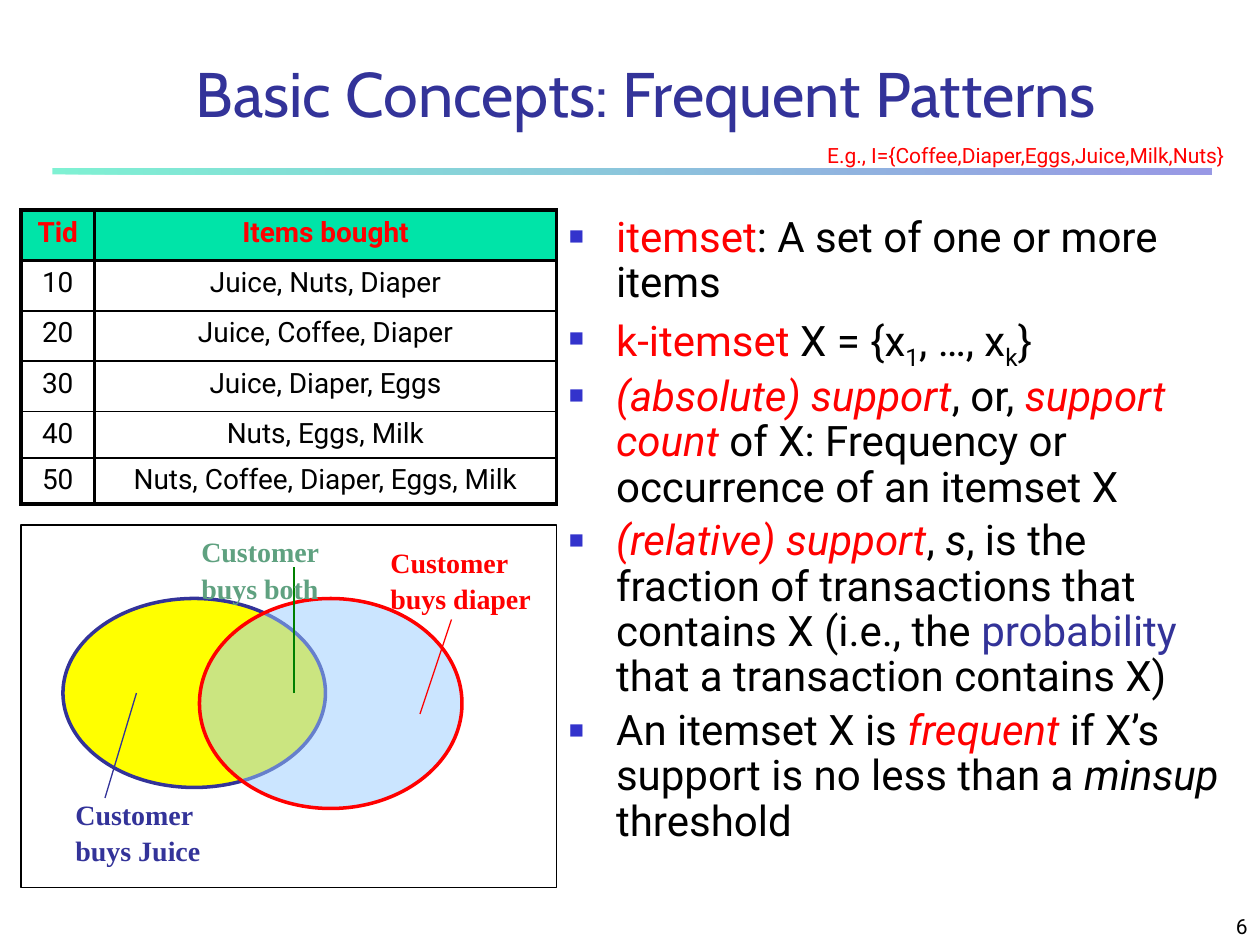
from dataclasses import dataclass

from lxml import etree
from pptx import Presentation
from pptx import util as u
from pptx.dml.color import RGBColor
from pptx.enum import shapes, text
from pptx.oxml import ns

PX = u.Inches(1) // 120


@dataclass(frozen=True)
class Theme:
    ink: str = "000000"
    navy: str = "333399"
    red: str = "FF0000"
    bullet: str = "3333CC"
    mint: str = "00E4A8"
    yellow: str = "FFFF00"
    sky: str = "99CCFF"
    green: str = "008000"
    sage: str = "5FA180"
    heading_font: str = "Cabin"
    body_font: str = "Roboto"
    label_font: str = "Times New Roman"
    title_size: int = 36
    body_size: int = 24
    label_size: int = 16
    small_size: int = 12


THEME = Theme()

RUN_STYLES = {
    "plain": (THEME.ink, False, None),
    "term": (THEME.red, False, None),
    "key": (THEME.red, True, None),
    "symbol": (THEME.ink, True, None),
    "link": (THEME.navy, False, None),
    "sub": (THEME.ink, False, "-25000"),
}

DEFINITIONS = [
    [("itemset", "term"), (": A set of one or more items", "plain")],
    [("k-itemset", "term"), (" X = {x", "plain"), ("1", "sub"),
     (", …, x", "plain"), ("k", "sub"), ("}", "plain")],
    [("(absolute) support", "key"), (", or, ", "plain"), ("support count", "key"),
     (" of X: Frequency or occurrence of an itemset X", "plain")],
    [("(relative) support", "key"), (", ", "plain"), ("s", "symbol"),
     (", is the fraction of transactions that contains X (i.e., the ", "plain"),
     ("probability", "link"), (" that a transaction contains X)", "plain")],
    [("An itemset X is ", "plain"), ("frequent", "key"),
     (" if X’s support is no less than a ", "plain"), ("minsup", "symbol"),
     (" threshold", "plain")],
]

TRANSACTIONS = [
    ("Tid", "Items bought"),
    ("10", "Juice, Nuts, Diaper"),
    ("20", "Juice, Coffee, Diaper"),
    ("30", "Juice, Diaper, Eggs"),
    ("40", "Nuts, Eggs, Milk"),
    ("50", "Nuts, Coffee, Diaper, Eggs, Milk"),
]


def px(*lengths):
    return [u.Emu(length * PX) for length in lengths]


def rgb(color):
    return RGBColor.from_string(color)


def add_xml(parent, tag, **attributes):
    return etree.SubElement(parent, ns.qn(tag), **attributes)


def set_alpha(shape_fill, percent):
    for color in shape_fill.iter(ns.qn("a:srgbClr")):
        add_xml(color, "a:alpha", val=str(percent * 1000))


class SlideBuilder:
    def __init__(self, slide, theme):
        self.slide = slide
        self.theme = theme

    def style_font(self, font, name, size, color, bold=False, italic=False):
        font.name, font.size = name, u.Pt(size)
        font.bold, font.italic = bold, italic
        font.color.rgb = rgb(color)

    def textbox(self, box, content, name, size, color, bold=False, align=text.PP_ALIGN.LEFT,
                anchor=text.MSO_ANCHOR.TOP, spacing=1.0, wrap=True, grow=False):
        frame = self.slide.shapes.add_textbox(*px(*box)).text_frame
        frame.text = content
        frame.word_wrap = wrap
        frame.vertical_anchor = anchor
        if grow:
            frame.auto_size = text.MSO_AUTO_SIZE.SHAPE_TO_FIT_TEXT
        for paragraph in frame.paragraphs:
            paragraph.alignment, paragraph.line_spacing = align, spacing
            for run in paragraph.runs:
                self.style_font(run.font, name, size, color, bold)

    def label(self, box, content, color, wrap=True):
        self.textbox(box, content, self.theme.label_font, self.theme.label_size, color,
                     bold=True, spacing=1.1, wrap=wrap, grow=True)

    def bullets(self, box, items):
        theme = self.theme
        frame = self.slide.shapes.add_textbox(*px(*box)).text_frame
        frame.word_wrap = True
        for index, item in enumerate(items):
            paragraph = frame.add_paragraph() if index else frame.paragraphs[0]
            paragraph.line_spacing = 0.9
            paragraph.space_before = u.Pt(theme.body_size * 0.2)
            properties = paragraph._p.get_or_add_pPr()
            indent = 45 * PX
            properties.set("marL", str(indent))
            properties.set("indent", str(-indent))
            add_xml(add_xml(properties, "a:buClr"), "a:srgbClr", val=theme.bullet)
            add_xml(properties, "a:buSzPct", val="60000")
            add_xml(properties, "a:buFont", typeface="Arial")
            add_xml(properties, "a:buChar", char="■")
            for words, style in item:
                color, italic, baseline = RUN_STYLES[style]
                run = paragraph.add_run()
                run.text = words
                self.style_font(run.font, theme.body_font, theme.body_size, color, italic=italic)
                if baseline:
                    run._r.get_or_add_rPr().set("baseline", baseline)

    def shape(self, kind, box, fill=None, line=None, width=0.75, alpha=None):
        shape = self.slide.shapes.add_shape(kind, *px(*box))
        shape.shadow.inherit = False
        if isinstance(fill, tuple):
            shape.fill.gradient()
            shape.fill.gradient_angle = 0
            for stop, color in zip(shape.fill.gradient_stops, fill):
                stop.color.rgb = rgb(color)
        elif fill:
            shape.fill.solid()
            shape.fill.fore_color.rgb = rgb(fill)
        else:
            shape.fill.background()
        if alpha:
            set_alpha(shape._element.spPr, alpha)
        if line:
            shape.line.color.rgb = rgb(line)
            shape.line.width = u.Pt(width)
        else:
            shape.line.fill.background()

    def line(self, ends, color):
        connector = self.slide.shapes.add_connector(shapes.MSO_CONNECTOR.STRAIGHT, *px(*ends))
        connector.line.color.rgb = rgb(color)
        connector.line.width = u.Pt(0.75)
        add_xml(connector._element.spPr, "a:effectLst")

    def border(self, cell, side, width):
        edge = add_xml(cell._tc.get_or_add_tcPr(), f"a:{side}", w=str(u.Pt(width)))
        add_xml(add_xml(edge, "a:solidFill"), "a:srgbClr", val=self.theme.ink)

    def table(self, box, rows, widths, heights):
        theme = self.theme
        table = self.slide.shapes.add_table(len(rows), len(widths), *px(*box)).table
        table.horz_banding = table.first_row = False
        for column, width in zip(table.columns, px(*widths)):
            column.width = width
        for row, height in zip(table.rows, px(*heights)):
            row.height = height
        for r, values in enumerate(rows):
            header = r == 0
            for c, value in enumerate(values):
                cell = table.cell(r, c)
                cell.text_frame.text = value
                paragraph = cell.text_frame.paragraphs[0]
                paragraph.alignment = text.PP_ALIGN.CENTER
                paragraph.space_before = u.Pt(theme.label_size * 0.2)
                self.style_font(paragraph.runs[0].font, theme.body_font, theme.label_size,
                                theme.red if header else theme.ink, bold=header)
                top = 2.25 if r < 2 else 1
                bottom = 2.25 if r in (0, len(rows) - 1) else 1
                for side, width in zip(("lnL", "lnR", "lnT", "lnB"), (2.25, 2.25, top, bottom)):
                    self.border(cell, side, width)
                if header:
                    cell.fill.solid()
                    cell.fill.fore_color.rgb = rgb(theme.mint)
                else:
                    cell.fill.background()


def main():
    deck = Presentation()
    deck.slide_width, deck.slide_height = px(1200, 900)
    builder = SlideBuilder(deck.slides.add_slide(deck.slide_layouts[6]), THEME)
    rect, oval = shapes.MSO_SHAPE.RECTANGLE, shapes.MSO_SHAPE.OVAL
    bottom = text.MSO_ANCHOR.BOTTOM

    builder.shape(rect, (50, 160, 1104, 6), (THEME.mint, THEME.bullet), alpha=50)
    builder.textbox((950, 850, 250, 50), "6", THEME.body_font, THEME.small_size, THEME.ink,
                    align=text.PP_ALIGN.RIGHT, anchor=bottom)
    builder.textbox((90, 30, 1050, 100), "Basic Concepts: Frequent Patterns", THEME.heading_font,
                    THEME.title_size, THEME.navy, align=text.PP_ALIGN.CENTER, anchor=bottom)
    builder.bullets((530, 200, 650, 650), DEFINITIONS)

    builder.shape(oval, (60, 570, 250, 180), THEME.yellow, THEME.navy, 2)
    builder.shape(oval, (190, 570, 250, 200), THEME.sky, THEME.red, 2, alpha=50)
    builder.line((130, 660, 100, 760), THEME.navy)
    builder.line((400, 680, 430, 590), THEME.red)
    builder.line((280, 660, 280, 540), THEME.green)
    builder.label((360, 510, 160, 83), "Customer\nbuys diaper", THEME.red)
    builder.label((180, 500, 137, 83), "Customer\nbuys both", THEME.sage)
    builder.label((60, 750, 145, 83), "Customer\nbuys Juice", THEME.navy, wrap=False)
    builder.shape(rect, (20, 500, 510, 345), line=THEME.ink)

    builder.table((20, 200, 510, 280), TRANSACTIONS, (70, 440), [48] * 4 + [44] * 2)
    builder.textbox((776, 130, 424, 36), "E.g., I={Coffee,Diaper,Eggs,Juice,Milk,Nuts}",
                    THEME.body_font, THEME.small_size, THEME.red, grow=True)
    deck.save("out.pptx")


if __name__ == "__main__":
    main()
